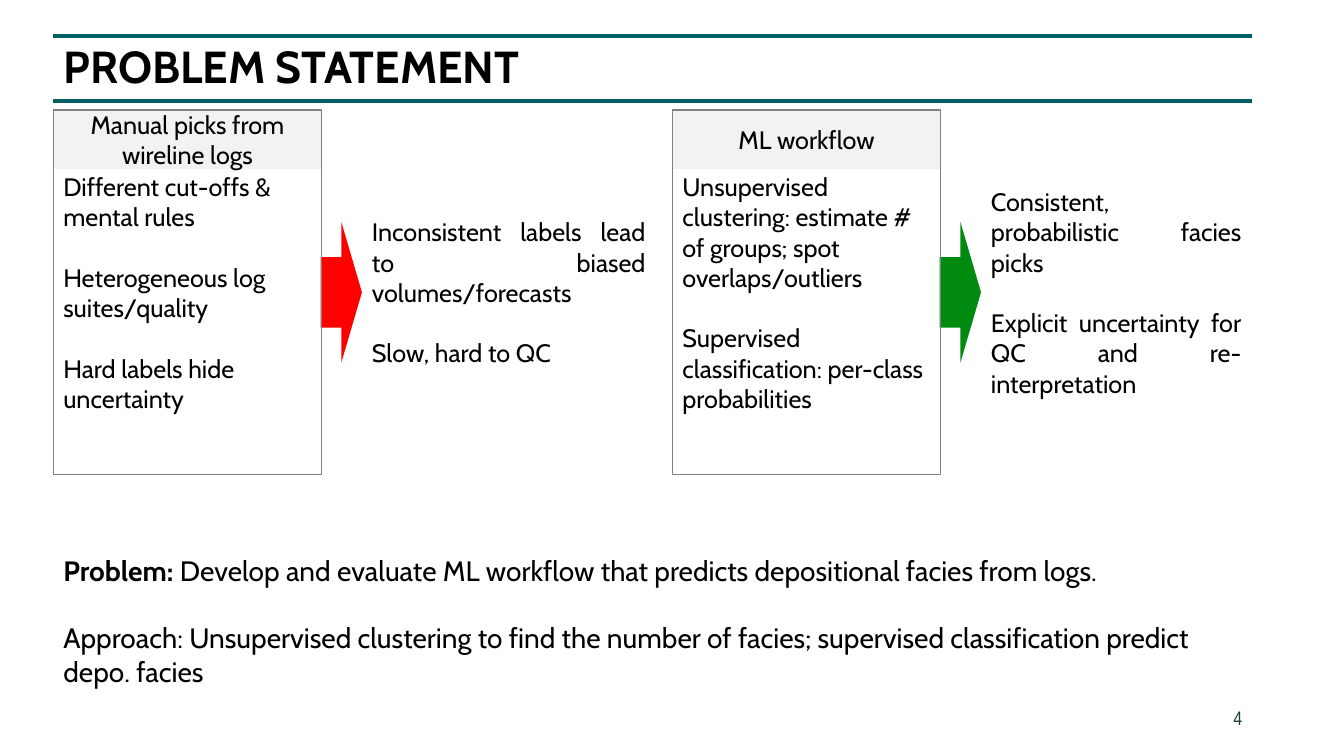
from pptx import Presentation
from pptx.dml.color import RGBColor
from pptx.enum.shapes import MSO_CONNECTOR, MSO_SHAPE
from pptx.enum.text import MSO_ANCHOR, MSO_AUTO_SIZE, PP_ALIGN
from pptx.oxml.ns import qn
from pptx.util import Inches, Pt
from lxml import etree


def rgb(value):
    return RGBColor.from_string(value)


class SlideBuilder:
    """Holds the deck style and the slide being built."""

    font = "Cabin"
    ink, teal, grey, band = "000000", "016061", "808080", "F2F2F2"

    def __init__(self, prs):
        self.slide = prs.slides.add_slide(prs.slide_layouts[5])

    def fill_text(self, tf, paragraphs, size=18, align=PP_ALIGN.LEFT, anchor=MSO_ANCHOR.MIDDLE,
                  gap=21.6, font=font, color=ink, line_spacing=None):
        """Fill a frame; each paragraph is a list of (text, bold) runs."""
        frame = {"word_wrap": True, "auto_size": MSO_AUTO_SIZE.NONE, "vertical_anchor": anchor}
        for name, value in frame.items():
            setattr(tf, name, value)
        for i, runs in enumerate(paragraphs):
            p = tf.add_paragraph() if i else tf.paragraphs[0]
            layout = {"alignment": align, "line_spacing": line_spacing,
                      "space_before": Pt(gap if i else 0)}
            for name, value in layout.items():
                setattr(p, name, value)
            for text, bold in runs:
                r = p.add_run()
                r.text = text
                for name, value in {"name": font, "size": Pt(size), "bold": bold}.items():
                    setattr(r.font, name, value)
                r.font.color.rgb = rgb(color)

    def title(self, box, text):
        sp = self.slide.shapes.title
        for name, value in zip(("left", "top", "width", "height"), box):
            setattr(sp, name, Inches(value))
        self.fill_text(sp.text_frame, [[(text, True)]], size=32, anchor=MSO_ANCHOR.TOP,
                       line_spacing=0.9)

    def text(self, box, paragraphs, **style):
        sp = self.slide.shapes.add_textbox(*map(Inches, box))
        self.fill_text(sp.text_frame, paragraphs, **style)

    def shape(self, kind, box, fill=None, line=None, paragraphs=(), **style):
        sp = self.slide.shapes.add_shape(kind, *map(Inches, box))
        sp.shadow.inherit = False
        if fill:
            sp.fill.solid()
            sp.fill.fore_color.rgb = rgb(fill)
        else:
            sp.fill.background()
        if line:
            sp.line.color.rgb = rgb(line)
            sp.line.width = Pt(1)
        else:
            sp.line.fill.background()
        self.fill_text(sp.text_frame, paragraphs, **style)

    def rule(self, left, right, y):
        line = self.slide.shapes.add_connector(
            MSO_CONNECTOR.STRAIGHT, *map(Inches, (left, y, right, y)))
        line.line.color.rgb = rgb(self.teal)
        line.line.width = Pt(3)
        etree.SubElement(line._element.spPr, qn("a:effectLst"))

    def comparison(self, left, heading, points, arrow_color, outcomes, outcome_width):
        """Draw a headed panel with an arrow to its outcomes."""
        top, width, height = 1.09, 2.66, 3.62
        self.shape(MSO_SHAPE.FLOWCHART_PROCESS, (left, top, width, 0.59), fill=self.band,
                   paragraphs=[[(heading, False)]], align=PP_ALIGN.CENTER)
        self.shape(MSO_SHAPE.RIGHT_ARROW, (left + 2.65, 2.2, 0.41, 1.4), fill=arrow_color)
        self.shape(MSO_SHAPE.RECTANGLE, (left, top, width, height), line=self.grey,
                   paragraphs=[[(point, False)] for point in points])
        self.text((left + 3.06, top, outcome_width, height),
                  [[(outcome, False)] for outcome in outcomes], align=PP_ALIGN.JUSTIFY)


def main():
    prs = Presentation()
    prs.slide_width, prs.slide_height = Inches(13.33), Inches(7.5)
    s = SlideBuilder(prs)
    left, width = 0.53, 11.89

    for y in (0.36, 1):
        s.rule(left, left + width, y)
    s.title((left, 0.39, width, 0.59), "PROBLEM STATEMENT")

    s.comparison(
        left, "Manual picks from wireline logs",
        ["Different cut-offs & mental rules", "Heterogeneous log suites/quality",
         "Hard labels hide uncertainty"],
        "FF0000",
        ["Inconsistent labels lead to biased volumes/forecasts", "Slow, hard to QC"], 2.91)
    s.comparison(
        6.67, "ML workflow",
        ["Unsupervised clustering: estimate # of groups; spot overlaps/outliers",
         "Supervised classification: per-class probabilities"],
        "008B10",
        ["Consistent, probabilistic facies picks",
         "Explicit uncertainty for QC and re-interpretation"], 2.68)

    s.text((left, 5.44, width, 1.78), [
        [("Problem: ", True),
         ("Develop and evaluate ML workflow that predicts depositional facies from logs.", False)],
        [("Approach: Unsupervised clustering to find the number of facies; "
          "supervised classification predict depo. facies", False)],
    ], size=20, anchor=MSO_ANCHOR.TOP, gap=24)
    s.text((9.42, 6.95, 3, 0.4), [[("4", False)]], size=14, align=PP_ALIGN.RIGHT,
           anchor=MSO_ANCHOR.TOP, font="Arial Narrow", color="1B4233")
    prs.save("out.pptx")


if __name__ == "__main__":
    main()
